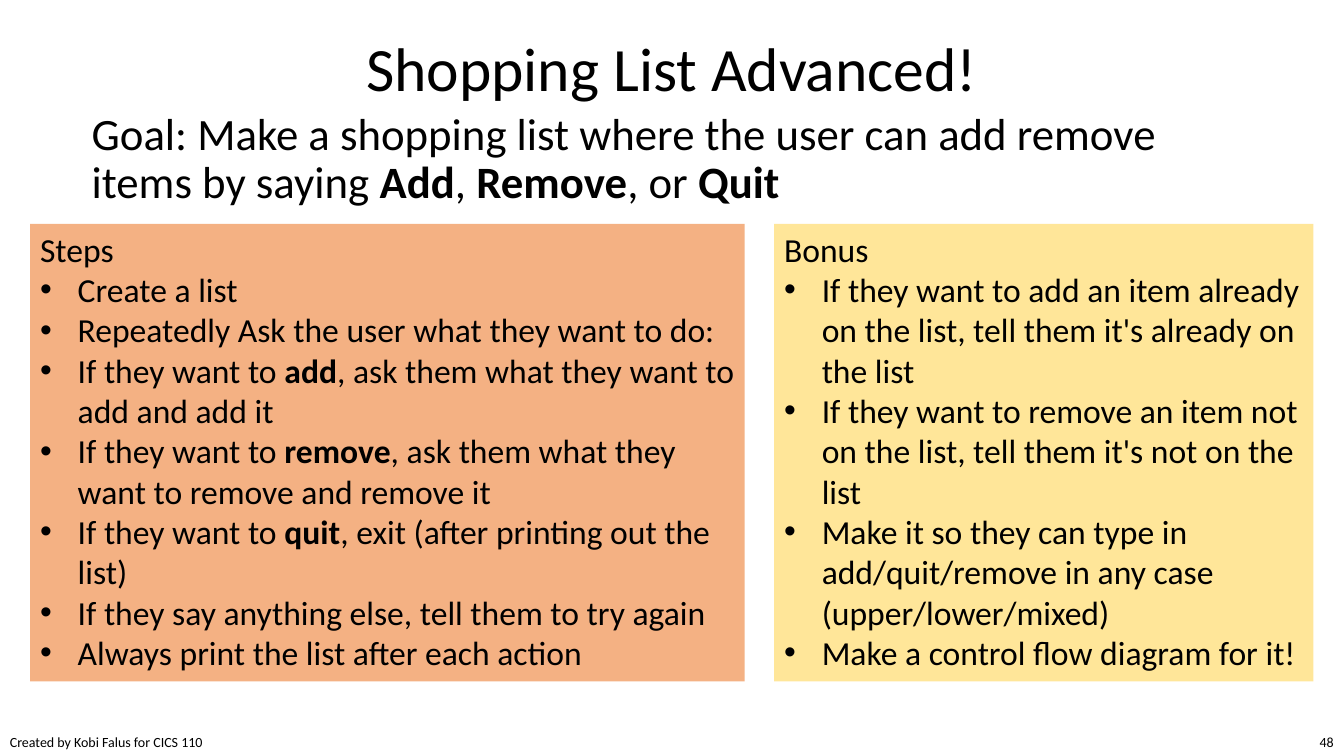
from lxml import etree
from pptx import Presentation
from pptx import util as u
from pptx.dml import color
from pptx.enum import shapes, text
from pptx.oxml import ns

COLORS = {"text": "000000", "steps": "F4B183", "bonus": "FFE699"}

STEPS = [
    "Create a list",
    "Repeatedly Ask the user what they want to do:",
    "If they want to **add**, ask them what they want to add and add it",
    "If they want to **remove**, ask them what they want to remove and remove it",
    "If they want to **quit**, exit (after printing out the list)",
    "If they say anything else, tell them to try again",
    "Always print the list after each action",
]
BONUS = [
    "If they want to add an item already on the list, tell them it's already on the list",
    "If they want to remove an item not on the list, tell them it's not on the list",
    "Make it so they can type in add/quit/remove in any case (upper/lower/mixed)",
    "Make a control flow diagram for it!",
]


def write(paragraph, content, size, align=text.PP_ALIGN.LEFT, spacing=1.0, bullet=False):
    """Fill a paragraph; words between double asterisks become bold."""
    if bullet:
        properties = paragraph._p.get_or_add_pPr()
        properties.set("marL", str(u.Cm(0.95)))
        properties.set("indent", str(-u.Cm(0.95)))
        etree.SubElement(properties, ns.qn("a:buFont")).set("typeface", "Arial")
        etree.SubElement(properties, ns.qn("a:buChar")).set("char", "•")
    paragraph.alignment = align
    paragraph.line_spacing = spacing
    for index, part in enumerate(content.split("**")):
        run = paragraph.add_run()
        run.text = part
        run.font.name = "Calibri"
        run.font.size = u.Pt(size)
        run.font.bold = index % 2 == 1
        run.font.color.rgb = color.RGBColor.from_string(COLORS["text"])


presentation = Presentation()
presentation.slide_width = u.Cm(33.87)
presentation.slide_height = u.Cm(19.05)
slide = presentation.slides.add_slide(presentation.slide_layouts[5])

# Title
title = slide.shapes.title
title.left, title.top, title.width, title.height = u.Cm(0), u.Cm(-0.03), u.Cm(33.87), u.Cm(3.68)
title.text_frame.auto_size = text.MSO_AUTO_SIZE.NONE
title.text_frame.vertical_anchor = text.MSO_ANCHOR.MIDDLE
write(title.text_frame.paragraphs[0], "Shopping List Advanced!", 44,
      align=text.PP_ALIGN.CENTER, spacing=0.9)

# Goal
goal = slide.shapes.add_textbox(u.Cm(2.06), u.Cm(2.69), u.Cm(29.77), u.Cm(2.95))
goal.text_frame.word_wrap = True
write(goal.text_frame.paragraphs[0],
      "Goal: Make a shopping list where the user can add remove items by saying "
      "**Add**, **Remove**, or **Quit**", 32, spacing=0.9)

# Steps and bonus panels
for heading, items, fill, left, width in [
    ("Steps", STEPS, "steps", 0.76, 18.01),
    ("Bonus", BONUS, "bonus", 19.51, 13.59),
]:
    panel = slide.shapes.add_shape(shapes.MSO_SHAPE.RECTANGLE,
                                   u.Cm(left), u.Cm(5.64), u.Cm(width), u.Cm(11.53))
    panel.shadow.inherit = False
    panel.fill.solid()
    panel.fill.fore_color.rgb = color.RGBColor.from_string(COLORS[fill])
    panel.line.fill.background()
    frame = panel.text_frame
    frame.word_wrap = True
    frame.vertical_anchor = text.MSO_ANCHOR.TOP
    write(frame.paragraphs[0], heading, 24)
    for item in items:
        write(frame.add_paragraph(), item, 24, bullet=True)

# Footer: credit and slide number
for content, left, width, align in [
    ("Created by Kobi Falus for CICS 110", 0, 5.46, text.PP_ALIGN.LEFT),
    ("48", 32.46, 1.4, text.PP_ALIGN.RIGHT),
]:
    footer = slide.shapes.add_textbox(u.Cm(left), u.Cm(18.36), u.Cm(width), u.Cm(0.69))
    footer.text_frame.word_wrap = True
    write(footer.text_frame.paragraphs[0], content, 10, align=align)

presentation.save("out.pptx")
